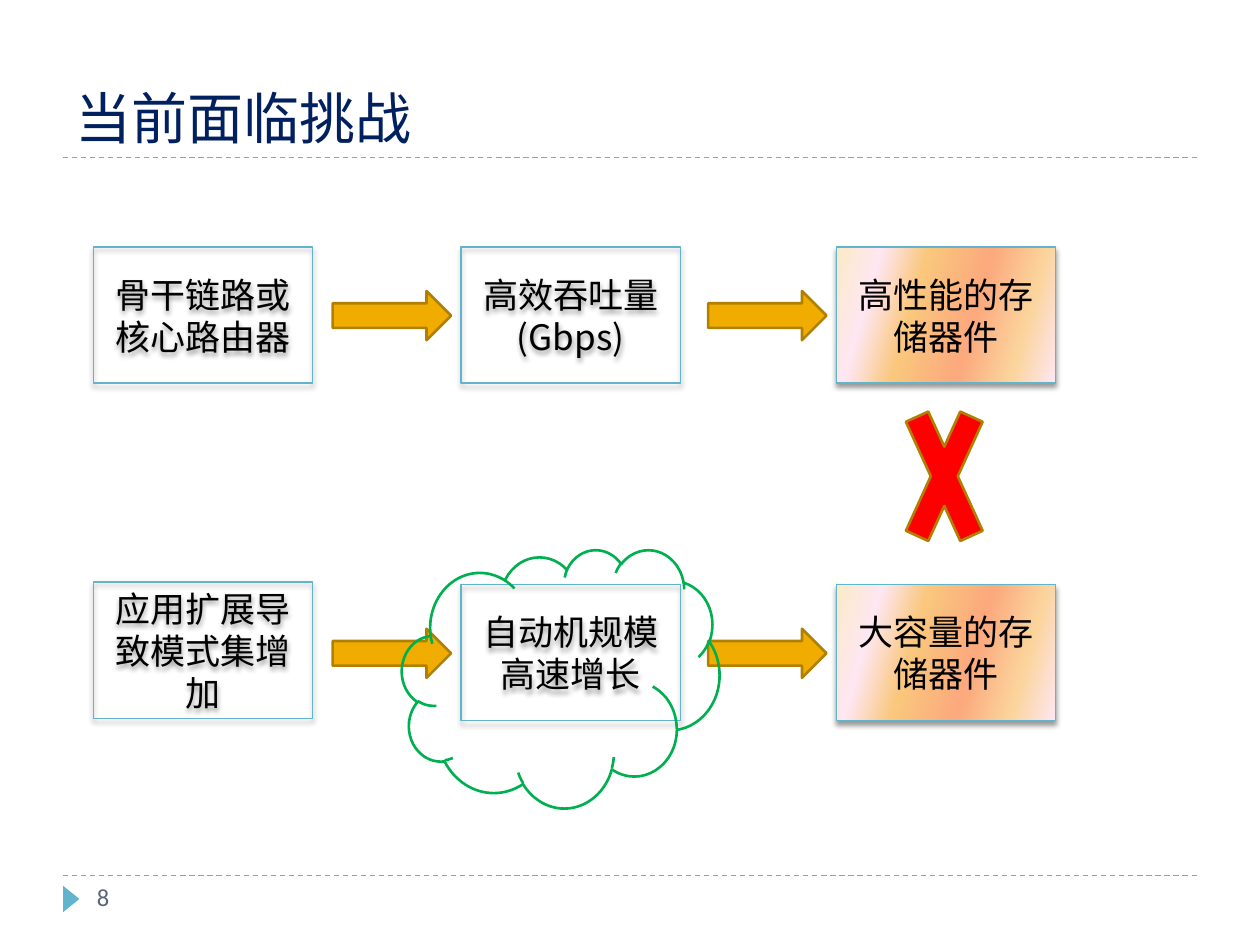
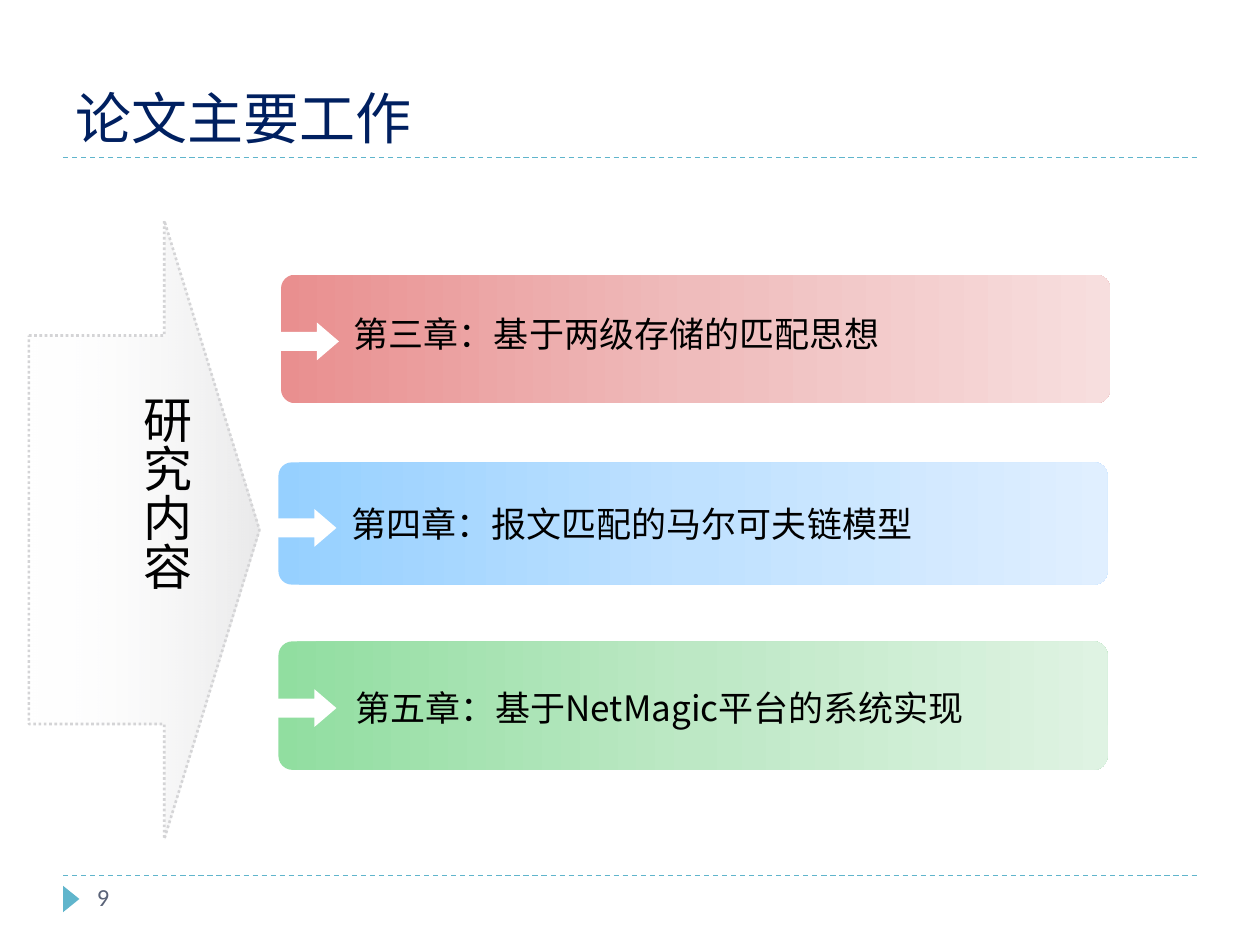
from lxml.etree import SubElement
from pptx import Presentation
from pptx.dml.color import RGBColor
from pptx.enum.dml import MSO_LINE
from pptx.enum.shapes import MSO_CONNECTOR, MSO_SHAPE
from pptx.enum.text import MSO_ANCHOR, PP_ALIGN
from pptx.oxml.ns import qn
from pptx.util import Inches, Pt

CJK, LATIN = "Noto Sans CJK SC", "Calibri"
COLORS = {
    "title": "002060", "teal": "60B5CC", "number": "5A6378", "text": "000000",
    "amber": "F0AD00", "amber_edge": "B28000", "red": "FF0000",
    "green": "00B050", "white": "FFFFFF", "silver": "D4D4D6",
}

# Content: challenges as (text, left, top, highlighted)
CHALLENGES = [
    ("骨干链路或核心路由器", 0.74, 1.96, False),
    ("高效吞吐量(Gbps)", 3.66, 1.96, False),
    ("高性能的存储器件", 6.64, 1.96, True),
    ("应用扩展导致模式集增加", 0.74, 4.62, False),
    ("自动机规模高速增长", 3.66, 4.64, False),
    ("大容量的存储器件", 6.64, 4.64, True),
]
FLOW_LEFTS, FLOW_TOPS = (2.64, 5.62), (2.31, 4.99)
HIGHLIGHT = [(0, "FBEAC7"), (18, "FEE7F2"), (36, "FAC77D"),
             (61, "FBA97D"), (82, "FBD49C"), (100, "FEE7F2")]

# Content: chapters as (text, text left and top, band box, arrow top, gradient)
CHAPTERS = [
    ("第三章：基于两级存储的匹配思想", (2.71, 2.43), (2.23, 2.18, 6.58, 1.02),
     2.56, ("E98F8F", "EFBCBC", "F7DEDE")),
    ("第四章：报文匹配的马尔可夫链模型", (2.69, 3.94), (2.21, 3.67, 6.58, 0.97),
     4.04, ("96D0FF", "BFE1FF", "E0EFFF")),
    ("第五章：基于NetMagic平台的系统实现", (2.72, 5.4), (2.21, 5.09, 6.58, 1.02),
     5.47, ("91DEA0", "BDE8C5", "DFF3E3")),
]


def rgb(name):
    return RGBColor.from_string(COLORS[name])


def write(shape, text, size=20, color="text", font=CJK, align=PP_ALIGN.LEFT,
          anchor=MSO_ANCHOR.TOP):
    tf = shape.text_frame
    tf.word_wrap = True
    tf.vertical_anchor = anchor
    p = tf.paragraphs[0]
    p.alignment = align
    r = p.add_run()
    r.text = text
    r.font.name, r.font.size = font, Pt(size)
    r.font.color.rgb = rgb(color)
    SubElement(r.font._element, qn("a:ea")).set("typeface", font)


def add_text(s, box, text, **fmt):
    sp = s.shapes.add_textbox(*map(Inches, box))
    write(sp, text, **fmt)
    return sp


def add_color(parent, value, alpha=100):
    color = SubElement(parent, qn("a:srgbClr"), val=value)
    if alpha < 100:
        SubElement(color, qn("a:alpha"), val=str(alpha * 1000))


def set_gradient(sp, stops, angle=0):
    """Fill with (percent, hex[, alpha]) stops."""
    sp.fill.gradient()
    grad = sp._element.spPr.find(qn("a:gradFill"))
    for child in list(grad):
        grad.remove(child)
    gs_list = SubElement(grad, qn("a:gsLst"))
    for pos, *color in stops:
        add_color(SubElement(gs_list, qn("a:gs"), pos=str(pos * 1000)), *color)
    SubElement(grad, qn("a:lin"), ang=str(angle * 60000), scaled="0")


def add_shape(s, kind, box, fill=None, line=None, width=1.5, adj=()):
    sp = s.shapes.add_shape(kind, *map(Inches, box))
    sp.shadow.inherit = False
    for i, value in enumerate(adj):
        sp.adjustments[i] = value
    if fill:
        sp.fill.solid()
        sp.fill.fore_color.rgb = rgb(fill)
    else:
        sp.fill.background()
    if line:
        sp.line.color.rgb = rgb(line)
        sp.line.width = Pt(width)
    else:
        sp.line.fill.background()
    return sp


def add_shadow(sp):
    effects = sp._element.spPr.find(qn("a:effectLst"))
    shadow = SubElement(effects, qn("a:outerShdw"), blurRad=str(Pt(3)),
                        dist=str(Pt(2)), dir=str(90 * 60000), rotWithShape="0")
    add_color(shadow, "000000", 40)


def new_slide(prs, title, number):
    s = prs.slides.add_slide(prs.slide_layouts[5])
    # Dashed rules below the title and above the footer
    for y in (1.25, 6.95):
        rule = s.shapes.add_connector(MSO_CONNECTOR.STRAIGHT, Inches(0.5),
                                      Inches(y), Inches(9.5), Inches(y))
        rule.line.color.rgb = rgb("teal")
        rule.line.width = Pt(0.75)
        rule.line.dash_style = MSO_LINE.DASH
        SubElement(rule._element.spPr, qn("a:effectLst"))
    # Title
    sp = s.shapes.title
    sp.left, sp.top, sp.width, sp.height = map(Inches, (0.5, 0.17, 9, 1.08))
    write(sp, title, size=32, color="title", anchor=MSO_ANCHOR.BOTTOM)
    # Page marker and number
    marker = add_shape(s, MSO_SHAPE.ISOSCELES_TRIANGLE,
                       (0.46, 7.07, 0.21, 0.13), fill="teal")
    marker.rotation = 90
    add_text(s, (0.67, 6.95, 2.17, 0.4), str(number), size=14, color="number",
             font=LATIN)
    return s


def build_challenges(prs):
    s = new_slide(prs, "当前面临挑战", 8)
    # Flow arrows
    for y in FLOW_TOPS:
        for x in FLOW_LEFTS:
            add_shape(s, MSO_SHAPE.RIGHT_ARROW, (x, y, 0.94, 0.39),
                      fill="amber", line="amber_edge")
    # Boxes
    for text, x, y, highlighted in CHALLENGES:
        sp = add_shape(s, MSO_SHAPE.RECTANGLE, (x, y, 1.74, 1.08),
                       line="teal", width=0.75)
        if highlighted:
            set_gradient(sp, HIGHLIGHT, angle=16)
        add_shadow(sp)
        write(sp, text, align=PP_ALIGN.CENTER, anchor=MSO_ANCHOR.MIDDLE)
    # Conflict cross and cloud
    add_shape(s, MSO_SHAPE.MATH_MULTIPLY, (7.08, 2.87, 0.83, 1.82),
              fill="red", line="amber_edge")
    add_shape(s, MSO_SHAPE.CLOUD, (3.19, 4.36, 2.52, 2.05), line="green")


def build_chapters(prs):
    s = new_slide(prs, "论文主要工作", 9)
    # Chapter bands
    for text, (text_x, text_y), band, arrow_y, colors in CHAPTERS:
        sp = add_shape(s, MSO_SHAPE.ROUNDED_RECTANGLE, band, adj=[0.109])
        set_gradient(sp, zip((0, 50, 100), colors))
        add_shape(s, MSO_SHAPE.RIGHT_ARROW, (band[0] - 0.06, arrow_y, 0.52, 0.3),
                  fill="white", adj=[0.5, 0.583])
        add_text(s, (text_x, text_y, 5.8, 0.44), text)
    # Large arrow with its vertical label
    sp = add_shape(s, MSO_SHAPE.RIGHT_ARROW, (0.23, 1.75, 1.83, 4.91),
                   line="silver", adj=[0.628, 0.413])
    set_gradient(sp, [(0, COLORS["white"], 0), (100, COLORS["silver"], 50)])
    sp.line.dash_style = MSO_LINE.ROUND_DOT
    label = add_text(s, (0.93, 2.99, 0.67, 2.5), "研究内容", size=28)
    label.text_frame.margin_top = Inches(0.15)
    label.text_frame._txBody.bodyPr.set("vert", "eaVert")


def main():
    prs = Presentation()
    prs.slide_width, prs.slide_height = Inches(10), Inches(7.5)
    build_challenges(prs)
    build_chapters(prs)
    prs.save("out.pptx")


if __name__ == "__main__":
    main()
